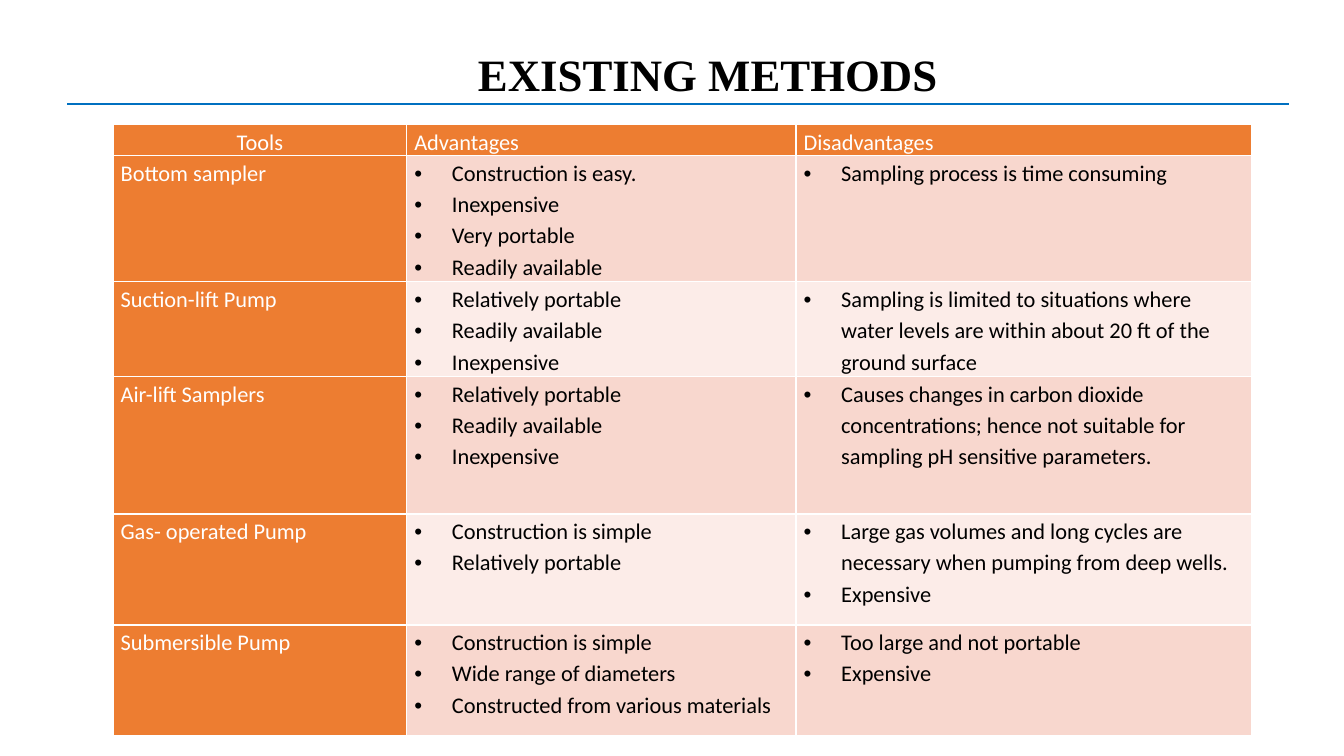
"""Build a slide with a table comparing existing groundwater sampling methods."""
import pptx
import pptx.dml.color
import pptx.enum.shapes
import pptx.enum.text
import pptx.oxml
import pptx.oxml.ns
import pptx.util
from pptx.util import Cm

TITLE = "EXISTING METHODS"
HEADERS = ["Tools", "Advantages", "Disadvantages"]
METHODS = [
    ("Bottom sampler",
     ["Construction is easy.", "Inexpensive", "Very portable", "Readily available"],
     ["Sampling process is time consuming"]),
    ("Suction-lift Pump",
     ["Relatively portable", "Readily available", "Inexpensive"],
     ["Sampling is limited to situations where water levels are within about 20 ft "
      "of the ground surface"]),
    ("Air-lift Samplers",
     ["Relatively portable", "Readily available", "Inexpensive"],
     ["Causes changes in carbon dioxide concentrations; hence not suitable for "
      "sampling pH sensitive parameters."]),
    ("Gas- operated Pump",
     ["Construction is simple", "Relatively portable"],
     ["Large gas volumes and long cycles are necessary when pumping from deep wells.",
      "Expensive"]),
    ("Submersible Pump",
     ["Construction is simple", "Wide range of diameters",
      "Constructed from various materials"],
     ["Too large and not portable", "Expensive"]),
]
COLUMN_WIDTHS = [7.4, 9.81, 11.49]
ROW_HEIGHTS = [0.78, 3.18, 2.39, 3.46, 2.8, 2.8]

BLACK = pptx.dml.color.RGBColor(0x00, 0x00, 0x00)
WHITE = pptx.dml.color.RGBColor(0xFF, 0xFF, 0xFF)
BLUE = pptx.dml.color.RGBColor(0x00, 0x70, 0xC0)
ORANGE = pptx.dml.color.RGBColor(0xED, 0x7D, 0x31)
BANDS = [pptx.dml.color.RGBColor(0xF8, 0xD7, 0xCE),
         pptx.dml.color.RGBColor(0xFC, 0xEC, 0xE8)]
NAMESPACE = pptx.oxml.ns.nsdecls("a")
CENTER = pptx.enum.text.PP_ALIGN.CENTER


def add_run(paragraph, text, font_name, size, color, bold=False):
    run = paragraph.add_run()
    run.text = text
    run.font.name = font_name
    run.font.size = pptx.util.Pt(size)
    run.font.color.rgb = color
    run.font.bold = bold


def add_bullet(paragraph):
    properties = paragraph._p.get_or_add_pPr()
    indent = Cm(0.95)
    properties.set("marL", str(indent))
    properties.set("indent", str(-indent))
    for markup in ('buFont %s typeface="Arial"', 'buChar %s char="•"'):
        properties.append(pptx.oxml.parse_xml("<a:" + markup % NAMESPACE + "/>"))


def add_borders(cell):
    properties = cell._tc.get_or_add_tcPr()
    for position, side in enumerate("LRTB"):
        properties.insert(position, pptx.oxml.parse_xml(
            f'<a:ln{side} {NAMESPACE} w="{pptx.util.Pt(1)}"><a:solidFill>'
            f'<a:srgbClr val="{WHITE}"/></a:solidFill></a:ln{side}>'))


def fill_cell(cell, lines, fill, color, bulleted):
    cell.fill.solid()
    cell.fill.fore_color.rgb = fill
    add_borders(cell)
    cell.margin_left = cell.margin_right = Cm(0.19)
    cell.margin_top = cell.margin_bottom = 0
    frame = cell.text_frame
    for index, line in enumerate(lines):
        paragraph = frame.add_paragraph() if index else frame.paragraphs[0]
        paragraph.line_spacing = 1.15
        paragraph.space_after = pptx.util.Pt(8 if index == len(lines) - 1 else 0)
        if bulleted:
            add_bullet(paragraph)
        add_run(paragraph, line, "Calibri", 16, color)


def add_title(slide):
    line = slide.shapes.add_connector(
        pptx.enum.shapes.MSO_CONNECTOR.STRAIGHT, Cm(1.7), Cm(2.62), Cm(32.49), Cm(2.62))
    line.line.color.rgb = BLUE
    line.line.width = pptx.util.Pt(1.5)
    line._element.spPr.append(pptx.oxml.parse_xml(f"<a:effectLst {NAMESPACE}/>"))

    title = slide.shapes.add_textbox(Cm(2.84), Cm(1.09), Cm(30), Cm(1.88))
    title.text_frame.word_wrap = True
    title.text_frame.margin_top = Cm(0.25)
    paragraph = title.text_frame.paragraphs[0]
    paragraph.alignment = CENTER
    paragraph.line_spacing = 0.9
    add_run(paragraph, TITLE, "Times New Roman", 32, BLACK, bold=True)


def add_methods_table(slide):
    table = slide.shapes.add_table(
        len(ROW_HEIGHTS), len(COLUMN_WIDTHS), Cm(2.85), Cm(3.14),
        Cm(sum(COLUMN_WIDTHS)), Cm(sum(ROW_HEIGHTS))).table
    for column, width in zip(table.columns, COLUMN_WIDTHS):
        column.width = Cm(width)
    for row, height in zip(table.rows, ROW_HEIGHTS):
        row.height = Cm(height)

    for column, header in enumerate(HEADERS):
        fill_cell(table.cell(0, column), [header], ORANGE, WHITE, False)
    table.cell(0, 0).text_frame.paragraphs[0].alignment = CENTER
    for row, (tool, *bullet_lists) in enumerate(METHODS, 1):
        fill_cell(table.cell(row, 0), [tool], ORANGE, WHITE, False)
        for column, bullets in enumerate(bullet_lists, 1):
            fill_cell(table.cell(row, column), bullets, BANDS[(row - 1) % 2], BLACK, True)


def main():
    presentation = pptx.Presentation()
    presentation.slide_width = Cm(33.87)
    presentation.slide_height = Cm(19.05)
    slide = presentation.slides.add_slide(presentation.slide_layouts[6])
    add_title(slide)
    add_methods_table(slide)
    presentation.save("out.pptx")


if __name__ == "__main__":
    main()
